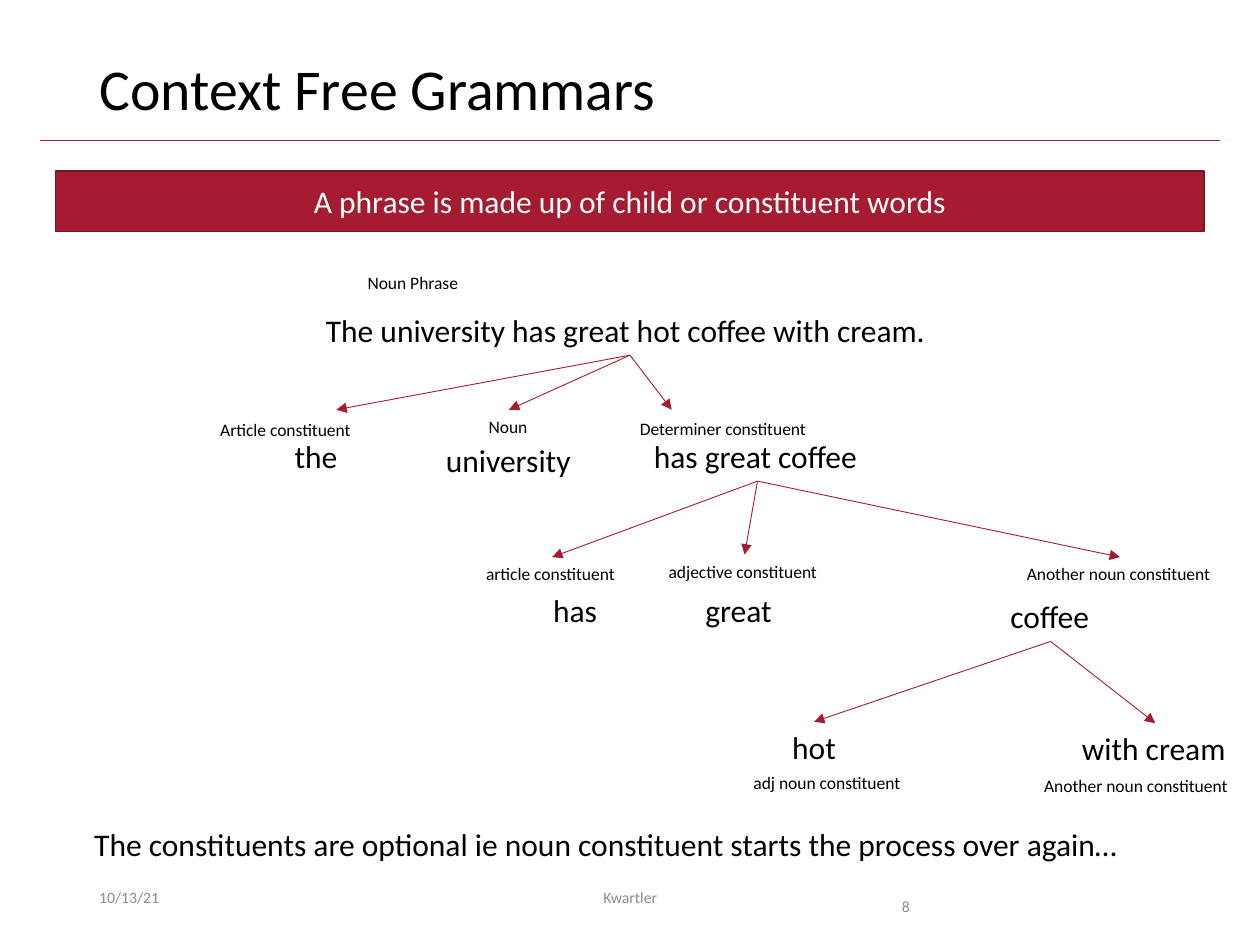
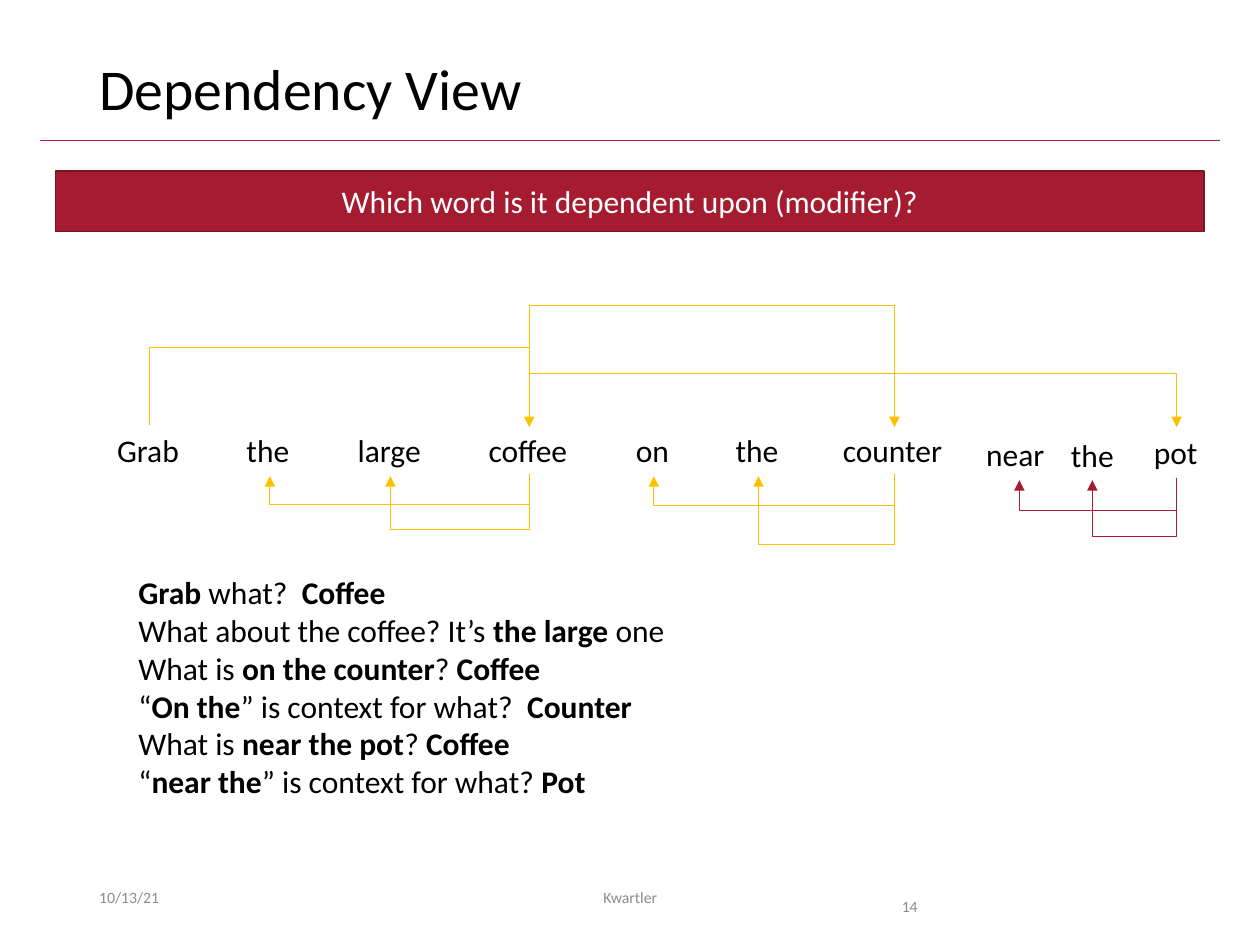
from dataclasses import dataclass

from lxml import etree
from pptx import Presentation
from pptx.dml.color import RGBColor
from pptx.enum.shapes import MSO_CONNECTOR, MSO_SHAPE
from pptx.enum.text import MSO_ANCHOR, MSO_AUTO_SIZE, PP_ALIGN
from pptx.oxml.ns import qn
from pptx.shapes.connector import Connector
from pptx.slide import Slide
from pptx.text.text import TextFrame
from pptx.util import Cm, Pt

STRAIGHT, ELBOW = MSO_CONNECTOR.STRAIGHT, MSO_CONNECTOR.ELBOW
RECT = MSO_SHAPE.RECTANGLE
TOP, MIDDLE = MSO_ANCHOR.TOP, MSO_ANCHOR.MIDDLE
LEFT, CENTER = PP_ALIGN.LEFT, PP_ALIGN.CENTER
FIXED, GROW = MSO_AUTO_SIZE.NONE, MSO_AUTO_SIZE.SHAPE_TO_FIT_TEXT

BLACK = RGBColor(0x00, 0x00, 0x00)
WHITE = RGBColor(0xFF, 0xFF, 0xFF)
GRAY = RGBColor(0x8C, 0x8C, 0x8C)
RED = RGBColor(0xA5, 0x1C, 0x30)
DARK = RGBColor(0x7A, 0x15, 0x24)
GOLD = RGBColor(0xFF, 0xC0, 0x00)

FONT = "Calibri"
WORD, TAG, FOOT = 18, 10, 9
HEIGHT = {WORD: 1.02, TAG: 0.68}
DROP = 0.05


@dataclass
class Word:
    text: str
    left: float
    top: float
    width: float
    size: int = WORD


@dataclass
class Fan:
    left: float
    top: float
    ends: list[tuple[float, float]]


@dataclass
class Arc:
    start: float
    end: float
    top: float
    bend: float
    color: RGBColor = GOLD


def style(frame: TextFrame, size: int, color: RGBColor, align: PP_ALIGN = LEFT) -> None:
    for para in frame.paragraphs:
        para.alignment = align
        for run in para.runs:
            run.font.name = FONT
            run.font.size = Pt(size)
            run.font.color.rgb = color


def finish(line: Connector, color: RGBColor, arrow: bool = True) -> None:
    line.line.color.rgb = color
    line.line.width = Pt(0.5)
    props = line.element.spPr
    if arrow:
        etree.SubElement(props.find(qn("a:ln")), qn("a:tailEnd"), type="triangle")
    etree.SubElement(props, qn("a:effectLst"))


def draw_line(slide: Slide, x: float, y: float, x2: float, y2: float, arrow: bool = True) -> None:
    line = slide.shapes.add_connector(STRAIGHT, Cm(x), Cm(y), Cm(x2), Cm(y2))
    finish(line, RED, arrow)


def draw_fan(slide: Slide, fan: Fan) -> None:
    for x, y in fan.ends:
        draw_line(slide, fan.left, fan.top, x, y)


def draw_arc(slide: Slide, arc: Arc) -> None:
    mid = (arc.start + arc.end) / 2
    half = abs(arc.end - arc.start) / 2
    level = arc.top + DROP / 2
    right = arc.end > arc.start
    side = DROP / 2 if right else -DROP / 2
    line = slide.shapes.add_connector(
        ELBOW, Cm(mid + side), Cm(level - half), Cm(mid - side), Cm(level + half))
    props = line.element.spPr
    props.find(qn("a:xfrm")).set("rot", "16200000" if right else "5400000")
    guides = props.find(qn("a:prstGeom")).find(qn("a:avLst"))
    ratio = round((arc.bend - arc.top) / DROP * 100000)
    etree.SubElement(guides, qn("a:gd"), name="adj1", fmla=f"val {ratio}")
    finish(line, arc.color)


def draw_word(slide: Slide, word: Word) -> None:
    box = slide.shapes.add_textbox(
        Cm(word.left), Cm(word.top), Cm(word.width), Cm(HEIGHT[word.size]))
    frame = box.text_frame
    frame.text = word.text
    frame.word_wrap = False
    frame.auto_size = GROW
    style(frame, word.size, BLACK)


def draw_notes(slide: Slide, lines: list[str]) -> None:
    frame = slide.shapes.add_textbox(Cm(2.54), Cm(11.43), Cm(11.4), Cm(4.88)).text_frame
    frame.word_wrap = False
    frame.auto_size = GROW
    for index, text in enumerate(lines):
        para = frame.add_paragraph() if index else frame.paragraphs[0]
        for part, piece in enumerate(text.split("*")):
            if piece:
                run = para.add_run()
                run.text = piece
                run.font.bold = part % 2 == 1
    style(frame, WORD, BLACK)


def draw_foot(slide: Slide, text: str, left: float, width: float,
              align: PP_ALIGN = LEFT, anchor: MSO_ANCHOR = MIDDLE, space: float = 1) -> None:
    frame = slide.shapes.add_textbox(Cm(left), Cm(17.58), Cm(width), Cm(1.02)).text_frame
    frame.text = text
    frame.word_wrap = True
    frame.vertical_anchor = anchor
    frame.paragraphs[0].line_spacing = space
    style(frame, FOOT, GRAY, align)


def add_page(title: str, claim: str, number: str) -> Slide:
    slide = deck.slides.add_slide(deck.slide_layouts[5])
    draw_line(slide, 0.81, 2.84, 24.59, 2.84, arrow=False)
    head = slide.shapes.title
    head.left, head.top, head.width, head.height = Cm(1.75), Cm(1.02), Cm(21.89), Cm(1.65)
    frame = head.text_frame
    frame.text = title
    frame.auto_size = FIXED
    frame.vertical_anchor = MIDDLE
    frame.paragraphs[0].line_spacing = 0.9
    style(frame, 33, BLACK)
    band = slide.shapes.add_shape(RECT, Cm(1.12), Cm(3.45), Cm(23.16), Cm(1.22))
    band.shadow.inherit = False
    band.fill.solid()
    band.fill.fore_color.rgb = RED
    band.line.color.rgb = DARK
    band.line.width = Pt(1)
    band.text_frame.text = claim
    band.text_frame.vertical_anchor = MIDDLE
    style(band.text_frame, WORD, WHITE, CENTER)
    draw_foot(slide, "10/13/21", 1.75, 5.72)
    draw_foot(slide, number, 17.93, 2.39, anchor=TOP, space=2)
    draw_foot(slide, "Kwartler", 8.41, 8.59, align=CENTER)
    return slide


TREE = [
    Word("Noun Phrase", 7.16, 5.36, 2.36, TAG),
    Word("The university has great hot coffee with cream.", 6.32, 6.15, 12.75),
    Word("Article constituent", 4.19, 8.33, 3.2, TAG),
    Word("the", 5.69, 8.69, 1.4),
    Word("Noun", 9.6, 8.26, 1.3, TAG),
    Word("university", 8.74, 8.76, 3.05),
    Word("Determiner constituent", 12.65, 8.31, 3.91, TAG),
    Word("has great coffee", 12.93, 8.69, 4.67),
    Word("article constituent", 9.55, 11.23, 3.15, TAG),
    Word("has", 10.9, 11.79, 1.4),
    Word("adjective constituent", 13.23, 11.18, 3.56, TAG),
    Word("great", 13.97, 11.79, 1.85),
    Word("Another noun constituent", 20.45, 11.23, 4.27, TAG),
    Word("coffee", 20.12, 11.91, 2.13),
    Word("hot", 15.72, 14.55, 1.4),
    Word("adj noun constituent", 14.94, 15.44, 3.53, TAG),
    Word("with cream", 21.56, 14.58, 3.45),
    Word("Another noun constituent", 20.8, 15.49, 4.27, TAG),
    Word("The constituents are optional ie noun constituent starts the process over again…",
         1.65, 16.51, 21.29),
]
FANS = [
    Fan(12.7, 7.16, [(6.78, 8.26), (10.26, 8.26), (13.54, 8.26)]),
    Fan(15.27, 9.7, [(11.13, 11.23), (15.01, 11.18), (22.58, 11.23)]),
    Fan(21.18, 12.93, [(16.41, 14.55), (23.29, 14.58)]),
]

ROW = 8.56
CHAIN = [
    Word("Grab", 2.11, ROW, 1.78),
    Word("the", 4.72, ROW, 1.4),
    Word("large", 6.96, ROW, 1.8),
    Word("coffee", 9.6, ROW, 2.13),
    Word("on", 12.57, ROW, 1.19),
    Word("the", 14.58, ROW, 1.4),
    Word("counter", 16.74, ROW, 2.54),
    Word("near", 19.63, 8.64, 1.68),
    Word("the", 21.34, 8.66, 1.4),
    Word("pot", 23.01, 8.61, 1.4),
]
COFFEE, COUNTER, POT = 10.67, 18.03, 23.72
UNDER = 9.55
ARCS = [
    Arc(COUNTER, 13.18, UNDER, 10.19),
    Arc(COUNTER, 15.29, UNDER, 10.97),
    Arc(COFFEE, COUNTER, ROW, 6.15),
    Arc(COFFEE, POT, ROW, 7.52),
    Arc(3.02, COFFEE, ROW, 7.01),
    Arc(COFFEE, 7.87, UNDER, 10.67),
    Arc(COFFEE, 5.44, UNDER, 10.16),
    Arc(POT, 22.02, 9.63, 10.82, RED),
    Arc(POT, 20.55, 9.63, 10.29, RED),
]
NOTES = [
    "*Grab* what?  *Coffee*",
    "What about the coffee? It’s *the large *one",
    "What is *on the counter*? *Coffee*",
    "“*On the*” is context for what?  *Counter*",
    "What is *near the pot*? *Coffee*",
    "“*near the*” is context for what? *Pot*",
]

deck = Presentation()
deck.slide_width, deck.slide_height = Cm(25.4), Cm(19.05)

page = add_page("Context Free Grammars", "A phrase is made up of child or constituent words", "8")
for word in TREE:
    draw_word(page, word)
for fan in FANS:
    draw_fan(page, fan)

page = add_page("Dependency View", "Which word is it dependent upon (modifier)?", "14")
for word in CHAIN:
    draw_word(page, word)
for arc in ARCS:
    draw_arc(page, arc)
draw_notes(page, NOTES)

deck.save("out.pptx")
